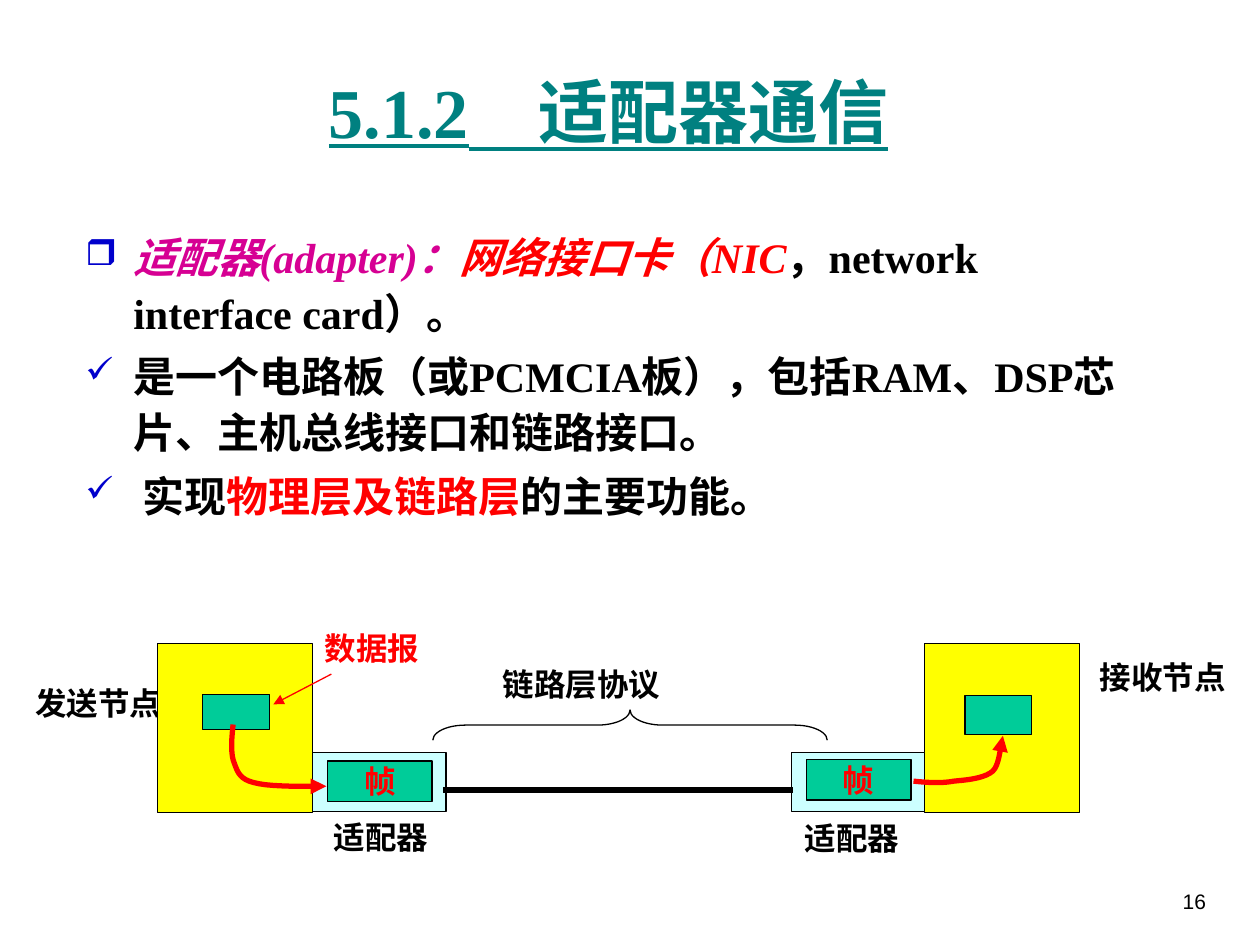
from pptx import Presentation
from pptx.dml.color import RGBColor
from pptx.enum.shapes import MSO_CONNECTOR, MSO_SHAPE
from pptx.enum.text import MSO_ANCHOR, PP_ALIGN
from pptx.oxml.ns import qn
from pptx.util import Inches, Pt
from lxml.etree import SubElement


def color(value):
    return RGBColor.from_string(value)


def add_run(paragraph, text, font, size, hue, bold=True, italic=False):
    run = paragraph.add_run()
    run.text = text
    run.font.name = font
    run.font.size = Pt(size)
    run.font.bold = bold
    run.font.italic = italic
    run.font.color.rgb = color(hue)
    return run


SERIF, LABEL = "Times New Roman", "Comic Neue"
BLACK, RED, YELLOW, GREEN, CYAN = "000000", "FF0000", "FFFF00", "00CC99", "CCFFFF"

prs = Presentation()
prs.slide_width, prs.slide_height = Inches(10), Inches(7.5)
slide = prs.slides.add_slide(prs.slide_layouts[5])
shapes = slide.shapes

title = shapes.title
title.left, title.top, title.width, title.height = map(Inches, (0.58, 0.25, 8.5, 1.25))
title.text_frame.vertical_anchor = MSO_ANCHOR.MIDDLE
heading = title.text_frame.paragraphs[0]
heading.alignment = PP_ALIGN.CENTER
add_run(heading, "5.1.2　适配器通信", SERIF, 40, "008080").font.underline = True

points = [
    ("❒", [("适配器(adapter)：", "D60093", True), ("网络接口卡（NIC", RED, True),
           ("，network interface card）。", BLACK, False)]),
    ("✓", [("是一个电路板（或PCMCIA板），包括RAM、DSP芯片、主机总线接口和链路接口。", BLACK, False)]),
    ("✓", [(" 实现", BLACK, False), ("物理层及链路层", RED, False), ("的主要功能。", BLACK, False)]),
]
body = shapes.add_textbox(Inches(0.58), Inches(1.75), Inches(8.62), Inches(2.57)).text_frame
body.word_wrap = True
for index, (bullet, parts) in enumerate(points):
    point = body.paragraphs[0] if index == 0 else body.add_paragraph()
    point.line_spacing = 1.1
    if index:
        point.space_before = Pt(4.8)
    props = point._p.get_or_add_pPr()
    props.set("marL", str(Inches(0.38)))
    props.set("indent", str(-Inches(0.38)))
    SubElement(SubElement(props, qn("a:buClr")), qn("a:srgbClr"), val="0000CC")
    SubElement(props, qn("a:buSzPct"), val="85000")
    SubElement(props, qn("a:buChar"), char=bullet)
    for text, hue, italic in parts:
        add_run(point, text, SERIF, 24, hue, italic=italic)

labels = [
    ("发送节点", 0.18, 5.38, 1.2, BLACK),
    ("接收节点", 8.63, 5.17, 1.2, BLACK),
    ("数据报", 2.48, 4.94, 0.95, RED),
    ("适配器", 2.55, 6.44, 0.95, BLACK),
    ("适配器", 6.29, 6.45, 0.95, BLACK),
    ("链路层协议", 3.89, 5.23, 1.45, BLACK),
]
for text, left, top, width, hue in labels:
    label = shapes.add_textbox(Inches(left), Inches(top), Inches(width), Inches(0.4)).text_frame
    label.word_wrap = False
    add_run(label.paragraphs[0], text, LABEL, 18, hue)

boxes = [
    (1.25, 5.11, 1.23, 1.34, YELLOW, ""),
    (7.34, 5.11, 1.23, 1.34, YELLOW, ""),
    (1.61, 5.51, 0.53, 0.28, GREEN, ""),
    (7.66, 5.52, 0.53, 0.31, GREEN, ""),
    (2.48, 5.97, 1.06, 0.47, CYAN, ""),
    (6.28, 5.97, 1.06, 0.47, CYAN, ""),
    (2.6, 6.04, 0.83, 0.32, GREEN, "帧"),
    (6.4, 6.03, 0.83, 0.32, GREEN, "帧"),
]
for left, top, width, height, fill, text in boxes:
    box = shapes.add_shape(MSO_SHAPE.RECTANGLE, Inches(left), Inches(top), Inches(width), Inches(height))
    box.shadow.inherit = False
    box.fill.solid()
    box.fill.fore_color.rgb = color(fill)
    box.line.color.rgb = color(BLACK)
    box.line.width = Pt(0.75)
    if text:
        box.text_frame.word_wrap = False
        box.text_frame.vertical_anchor = MSO_ANCHOR.MIDDLE
        frame_name = box.text_frame.paragraphs[0]
        frame_name.alignment = PP_ALIGN.CENTER
        add_run(frame_name, text, LABEL, 18, RED)

brace = shapes.add_shape(MSO_SHAPE.LEFT_BRACE, Inches(4.88), Inches(4.19), Inches(0.24), Inches(3.13))
brace.rotation = 90
brace.adjustments[0] = 1.08
brace.shadow.inherit = False
brace.fill.background()
brace.line.color.rgb = color(BLACK)
brace.line.width = Pt(0.75)

lines = [
    (3.52, 6.27, 6.29, 6.27, BLACK, 3, False),
    (2.63, 5.35, 2.17, 5.59, RED, 0.75, True),
]
for x1, y1, x2, y2, hue, weight, arrow in lines:
    line = shapes.add_connector(MSO_CONNECTOR.STRAIGHT, Inches(x1), Inches(y1), Inches(x2), Inches(y2))
    line.line.color.rgb = color(hue)
    line.line.width = Pt(weight)
    if arrow:
        SubElement(line.line._get_or_add_ln(), qn("a:tailEnd"), type="triangle")
    SubElement(line._element.spPr, qn("a:effectLst"))

STEPS = 10
flows = [
    [(1.85, 5.75), (1.84, 5.85), (1.83, 5.95), (1.85, 6.03), (1.88, 6.11), (1.89, 6.18),
     (2.01, 6.21), (2.14, 6.25), (2.49, 6.24), (2.59, 6.24)],
    [(7.25, 6.2), (7.36, 6.21), (7.46, 6.22), (7.57, 6.2), (7.67, 6.19), (7.81, 6.18),
     (7.88, 6.12), (7.94, 6.06), (7.94, 5.89), (7.96, 5.84)],
]
for knots in flows:
    curve = []
    for start in range(0, len(knots) - 1, 3):
        for step in range(1, STEPS + 1):
            t = step / STEPS
            weights = ((1 - t) ** 3, 3 * t * (1 - t) ** 2, 3 * t ** 2 * (1 - t), t ** 3)
            segment = knots[start:start + 4]
            curve.append(tuple(Inches(sum(w * knot[axis] for w, knot in zip(weights, segment)))
                               for axis in (0, 1)))
    builder = shapes.build_freeform(Inches(knots[0][0]), Inches(knots[0][1]))
    builder.add_line_segments(curve, close=False)
    flow = builder.convert_to_shape()
    flow.shadow.inherit = False
    flow.fill.background()
    flow.line.color.rgb = color(RED)
    flow.line.width = Pt(3)
    SubElement(flow.line._get_or_add_ln(), qn("a:tailEnd"), type="triangle")

page = shapes.add_textbox(Inches(8.93), Inches(7), Inches(0.74), Inches(0.5)).text_frame
page.word_wrap = True
page.paragraphs[0].alignment = PP_ALIGN.RIGHT
add_run(page.paragraphs[0], "16", "Arial", 12, BLACK, bold=False)

prs.save("out.pptx")
